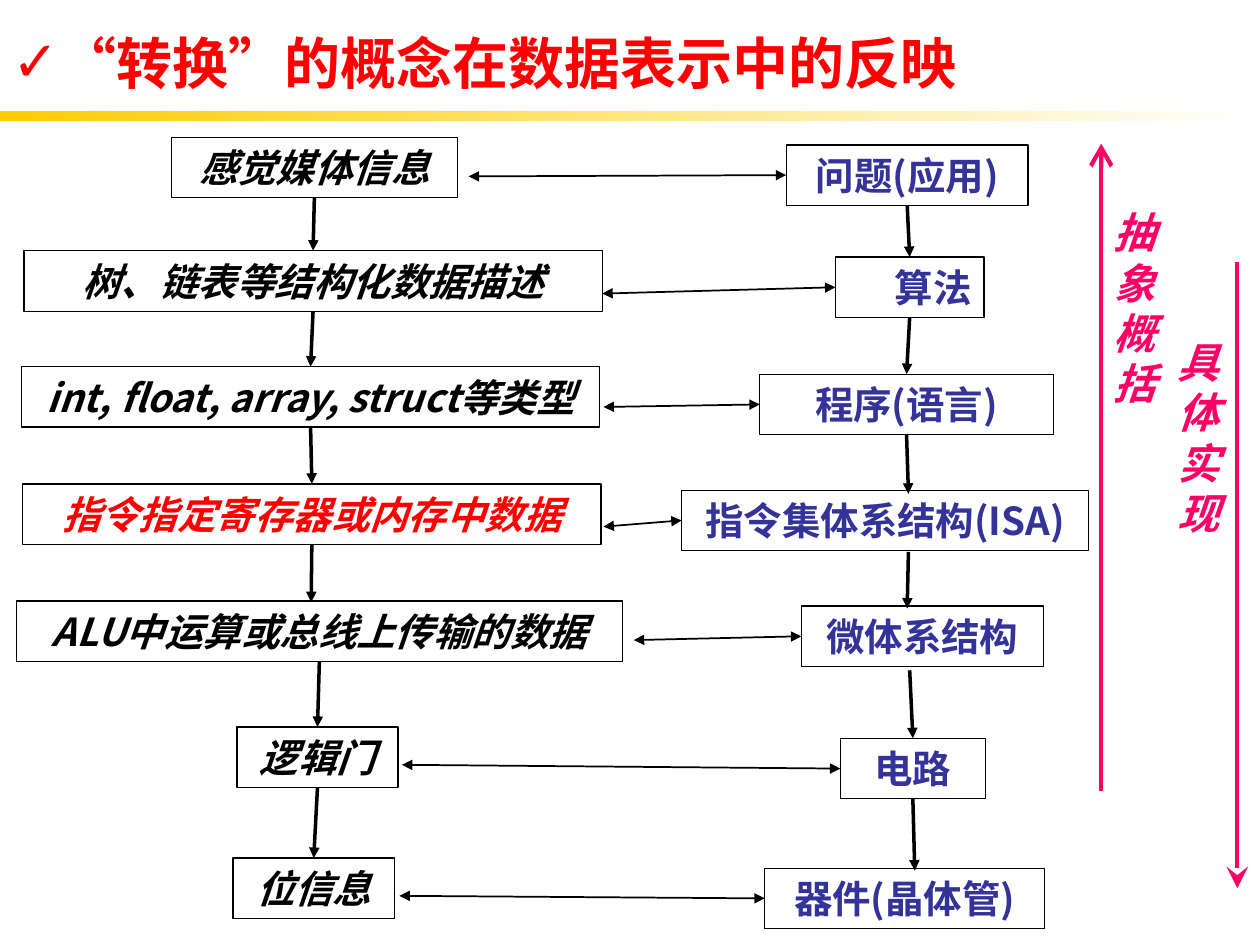
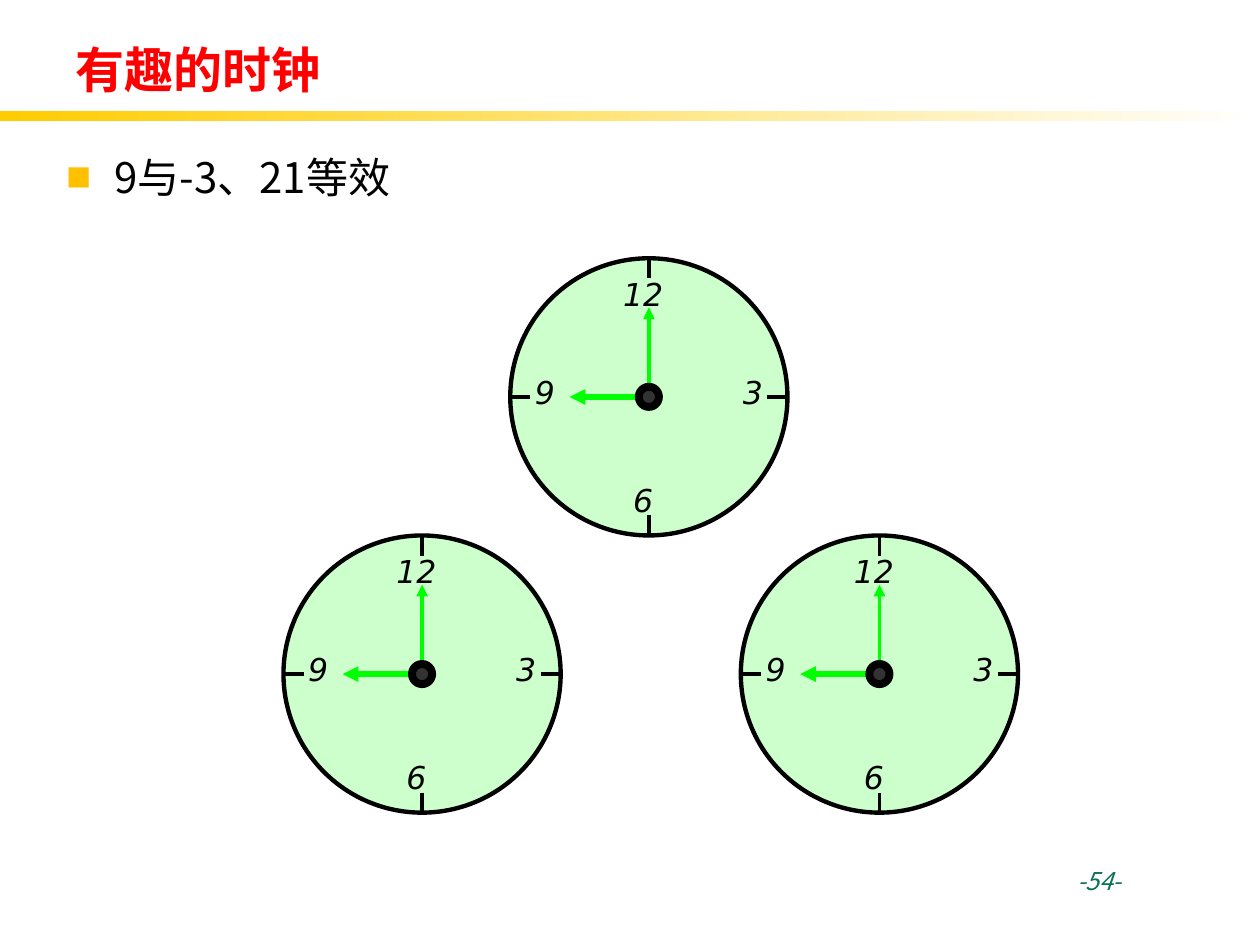
from lxml import etree
from pptx import Presentation
from pptx.dml.color import RGBColor as RGB
from pptx.enum.shapes import MSO_CONNECTOR as LINE, MSO_SHAPE as FORM
from pptx.enum.text import MSO_ANCHOR as ANCHOR, PP_ALIGN as ALIGN
from pptx.oxml.ns import qn
from pptx.util import Pt

PX = 9144  # EMU in one px, 100 px to the inch
RED = RGB(0xFF, 0, 0)
GOLD = RGB(0xFF, 0xCC, 0)
AMBER = RGB(0xFF, 0xC0, 0)
WHITE = RGB(0xFF, 0xFF, 0xFF)
BLACK = RGB(0, 0, 0)
NAVY = RGB(0x33, 0x33, 0x99)
PINK = RGB(0xFF, 0, 0x66)
MINT = RGB(0xCC, 0xFF, 0xCC)
LIME = RGB(0, 0xFF, 0)
GREY = RGB(0x33, 0x33, 0x33)
TEAL = RGB(0x0D, 0x71, 0x57)
SANS = "Noto Sans CJK SC"
SERIF = "Times New Roman"
DIGIT = "DejaVu Sans"

# text, left, top, width, height
DATA = [
    ("感觉媒体信息", 136, 109, 227, 48),
    ("树、链表等结构化数据描述", 19, 199, 459, 48),
    ("int, float, array, struct等类型", 17, 291, 459, 48),
    ("指令指定寄存器或内存中数据", 18, 384, 459, 48),
    ("ALU中运算或总线上传输的数据", 13, 477, 481, 48),
    ("逻辑门", 188, 577, 128, 48),
    ("位信息", 185, 681, 128, 48),
]
LEVELS = [
    ("问题(应用)", 624, 115, 192, 48),
    ("算法", 663, 204, 118, 48),
    ("程序(语言)", 603, 297, 233, 48),
    ("指令集体系结构(ISA)", 541, 389, 323, 48),
    ("微体系结构", 636, 481, 192, 48),
    ("电路", 667, 586, 115, 48),
    ("器件(晶体管)", 607, 689, 222, 48),
]
# x1, y1, x2, y2
DOWN = [
    (249, 159, 249, 201), (249, 248, 248, 293), (247, 341, 246, 385),
    (248, 433, 247, 478), (251, 526, 251, 580), (250, 628, 250, 682),
    (721, 162, 721, 205), (720, 257, 720, 299), (722, 348, 721, 392),
    (721, 438, 720, 483), (722, 532, 723, 586), (726, 637, 726, 691),
]
# right end, left end, y
ACROSS = [
    (621, 372, 140), (659, 478, 233), (603, 479, 323), (545, 479, 418),
    (635, 503, 508), (666, 319, 607), (608, 317, 711),
]


def scale(*nums):
    return [n * PX for n in nums]


def write(frame, text, size=22, color=BLACK, font=SANS, bold=False,
          italic=False, align=ALIGN.LEFT, anchor=ANCHOR.TOP, pad=10,
          space=None, mark=None):
    """Fill a frame with one paragraph; mark is (sign, font, percent, colour)."""
    frame.word_wrap = True
    frame.vertical_anchor = anchor
    frame.margin_left = frame.margin_right = pad * PX
    frame.margin_top = frame.margin_bottom = (
        0 if anchor == ANCHOR.MIDDLE else 5 * PX)
    para = frame.paragraphs[0]
    para.alignment = align
    if space:
        para.line_spacing = space
    if mark:
        bullet(para, *mark)
    run = para.add_run()
    run.text = text
    face = run.font
    face.size, face.bold, face.italic = Pt(size), bold, italic
    face.color.rgb = color
    face.name = font
    east = etree.SubElement(face._element, qn("a:ea"))
    east.set("typeface", SANS)


def bullet(para, sign, font, share, color):
    props = para._p.get_or_add_pPr()
    props.set("marL", str(38 * PX))
    props.set("indent", str(-38 * PX))
    tint = etree.SubElement(props, qn("a:buClr"))
    etree.SubElement(tint, qn("a:srgbClr")).set("val", str(color))
    for tag, key, val in (("a:buSzPct", "val", str(share * 1000)),
                          ("a:buFont", "typeface", font),
                          ("a:buChar", "char", sign)):
        etree.SubElement(props, qn(tag)).set(key, val)


def label(slide, box, text, **style):
    write(slide.shapes.add_textbox(*scale(*box)).text_frame, text, **style)


def shape(slide, form, box, fill=None, line=None, width=0.75):
    item = slide.shapes.add_shape(form, *scale(*box))
    item.shadow.inherit = False
    if fill is None:
        item.fill.background()
    else:
        item.fill.solid()
        item.fill.fore_color.rgb = fill
    if line is None:
        item.line.fill.background()
    else:
        item.line.color.rgb = line
        item.line.width = Pt(width)
    return item


def stroke(slide, ends, color=BLACK, width=1.0, head=None, tail=None,
           size="med"):
    item = slide.shapes.add_connector(LINE.STRAIGHT, *scale(*ends))
    item.line.color.rgb = color
    item.line.width = Pt(width)
    for tag, kind in (("a:headEnd", head), ("a:tailEnd", tail)):
        if kind:
            tip = etree.SubElement(item.line._get_or_add_ln(), qn(tag))
            for key, val in (("type", kind), ("w", size), ("len", size)):
                tip.set(key, val)
    etree.SubElement(item._element.spPr, qn("a:effectLst"))
    return item


def snap(line, boxes, near=5 * PX):
    """Join each end of the line to a box side whose middle lies near it."""
    ends = ((line.begin_x, line.begin_y, line.begin_connect),
            (line.end_x, line.end_y, line.end_connect))
    for x, y, join in ends:
        for box in boxes:
            mid_x = box.left + box.width // 2
            mid_y = box.top + box.height // 2
            sites = ((mid_x, box.top), (box.left, mid_y),
                     (mid_x, box.top + box.height),
                     (box.left + box.width, mid_y))
            for site, (sx, sy) in enumerate(sites):
                if max(abs(sx - x), abs(sy - y)) <= near:
                    join(box, site)


def start(deck, title, box, size, mark=None):
    """Add a slide with the shared gold band and title style."""
    slide = deck.slides.add_slide(deck.slide_layouts[6])
    band = shape(slide, FORM.RECTANGLE, (0, 88, 1000, 8))
    band.fill.gradient()
    band.fill.gradient_angle = 0
    for stop, color in zip(band.fill.gradient_stops, (GOLD, WHITE)):
        stop.color.rgb = color
    label(slide, box, title, size=size, color=RED, bold=True,
          anchor=ANCHOR.MIDDLE, mark=mark)
    return slide


def stack(slide, rows, color, italic):
    """Draw a column of framed labels and return the frames."""
    boxes = []
    for text, *box in rows:
        item = shape(slide, FORM.RECTANGLE, box, line=BLACK)
        right = text == "算法"
        write(item.text_frame, text, bold=True, italic=italic,
              color=RED if text.startswith("指令指定") else color,
              align=ALIGN.RIGHT if right else ALIGN.CENTER,
              pad=10 if right else 0, anchor=ANCHOR.MIDDLE)
        boxes.append(item)
    return boxes


def trend(slide, text, box, ends, **tips):
    """Draw a tall pink arrow with its one-character-wide label."""
    stroke(slide, ends, color=PINK, width=2.5, size="lg", **tips)
    label(slide, box, text, size=24, color=PINK, font=SERIF, bold=True,
          italic=True, align=ALIGN.RIGHT, anchor=ANCHOR.MIDDLE,
          space=Pt(28.8))


def layers(deck):
    slide = start(deck, "“转换”的概念在数据表示中的反映", (0, 19, 828, 60),
                  32, mark=("✓", DIGIT, 100, RED))
    trend(slide, "具体实现", (925, 262, 52, 170), (982, 208, 982, 705),
          tail="stealth")
    trend(slide, "抽象概括", (874, 159, 52, 170), (874, 114, 874, 628),
          head="arrow")
    boxes = stack(slide, DATA, BLACK, True) + stack(slide, LEVELS, NAVY, False)
    for ends in DOWN:
        snap(stroke(slide, ends, width=2, tail="triangle"), boxes)
    for right, left, y in ACROSS:
        snap(stroke(slide, (right, y, left, y), head="triangle",
                    tail="triangle"), boxes)


def clock(slide, x, y, size=220, tick=16, hub=16):
    """Draw a dial at nine o'clock with its top left corner at x, y."""
    mid, far = size // 2, size - tick
    cx, cy = x + mid, y + mid
    shape(slide, FORM.OVAL, (x, y, size, size), MINT, BLACK, 2.5)
    for dx, dy in ((0, mid), (far, mid)):
        stroke(slide, (x + dx, y + dy, x + dx + tick, y + dy), width=2.25)
    for dx, dy in ((mid, far), (mid, 0)):
        stroke(slide, (x + dx, y + dy, x + dx, y + dy + tick), width=2.25)
    for text, dx, dy in (("12", 78, 8), ("3", 165, 86),
                         ("6", 78, 172), ("9", 0, 86)):
        label(slide, (x + dx, y + dy, 55, 40), text, size=18, font=DIGIT,
              italic=True, align=ALIGN.CENTER)
    stroke(slide, (cx + 4, cy, cx - 63, cy), LIME, 3, tail="triangle")
    stroke(slide, (cx, cy, cx, cy - 71), LIME, 2.25, tail="triangle")
    shape(slide, FORM.OVAL, (cx - hub // 2, cy - hub // 2, hub, hub),
          GREY, BLACK, 4.5)


def clocks(deck):
    slide = start(deck, "有趣的时钟", (50, 23, 900, 64), 28)
    label(slide, (43, 107, 899, 551), "9与-3、21等效", size=24, space=1.2,
          mark=("■", SANS, 60, AMBER))
    label(slide, (845, 682, 105, 52), "-54-", size=14, color=TEAL,
          italic=True)
    for x, y in ((588, 425), (225, 425), (405, 205)):
        clock(slide, x, y)


def main():
    deck = Presentation()
    deck.slide_width, deck.slide_height = scale(1000, 750)
    layers(deck)
    clocks(deck)
    deck.save("out.pptx")


if __name__ == "__main__":
    main()
